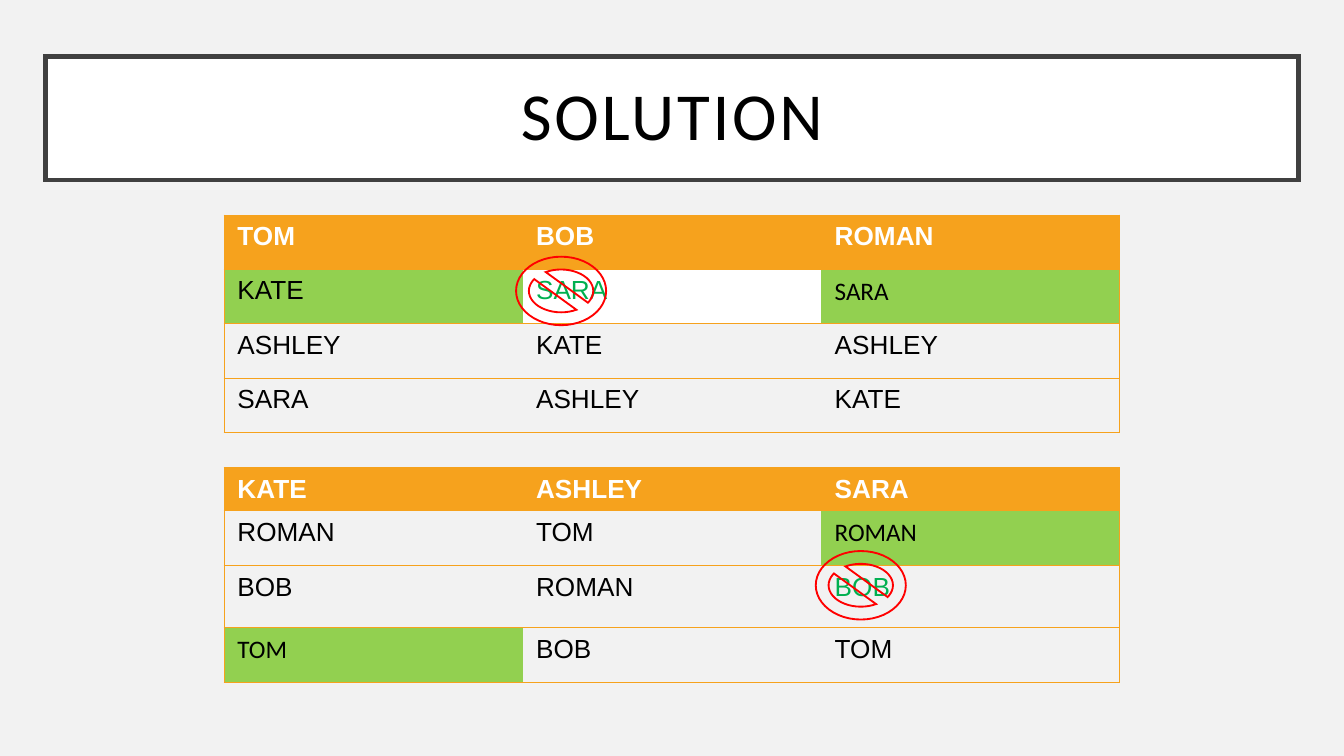
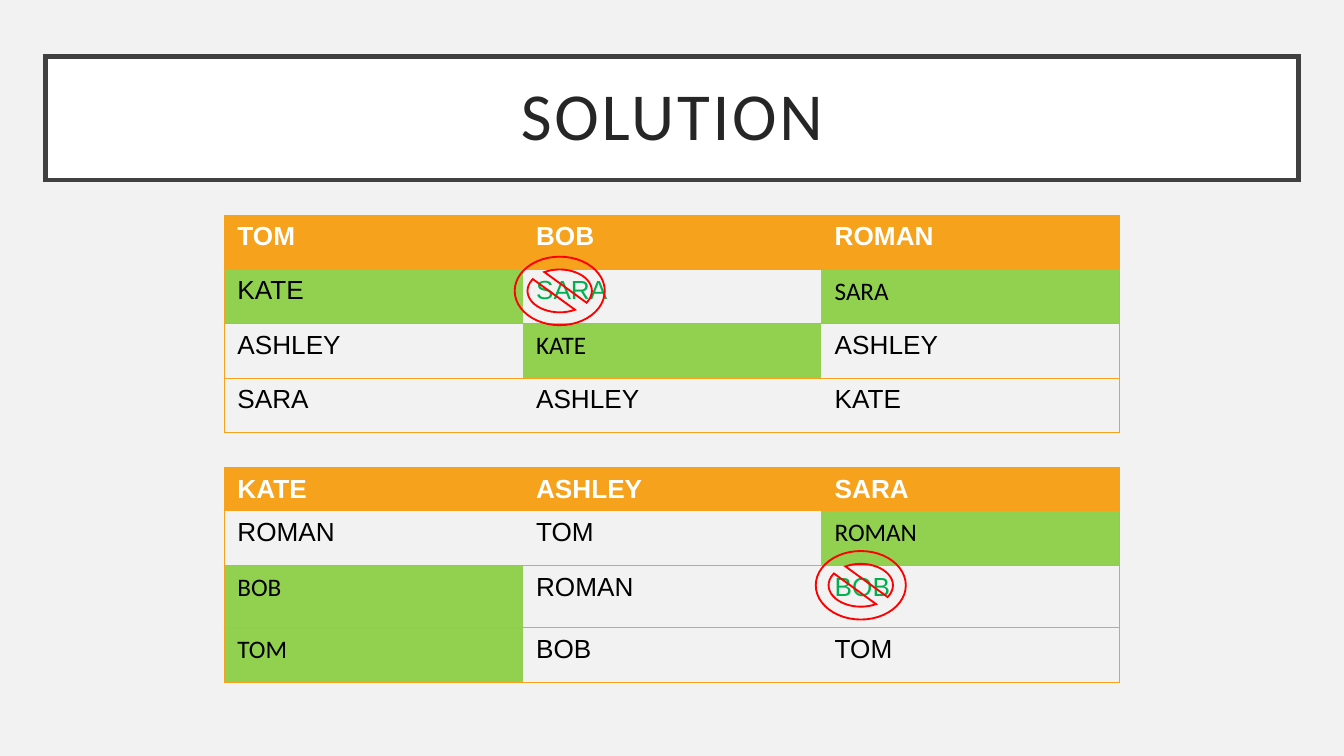
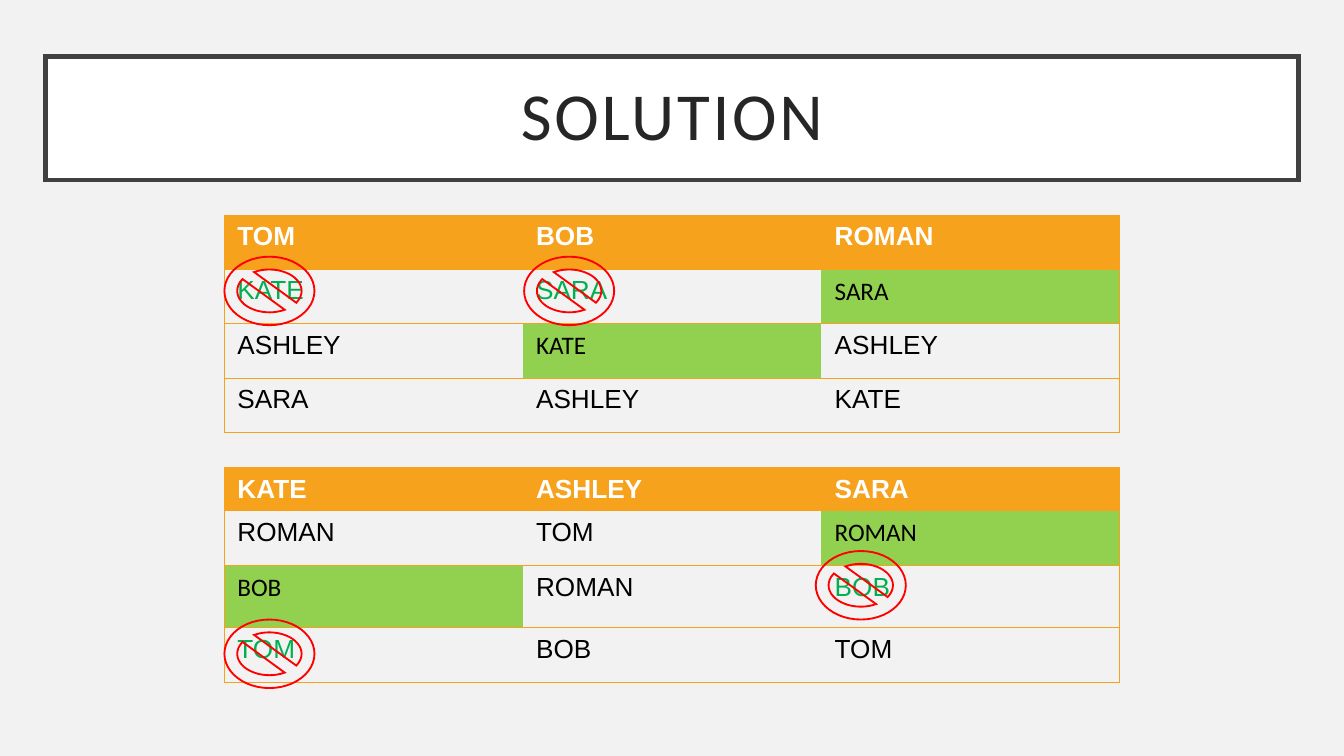
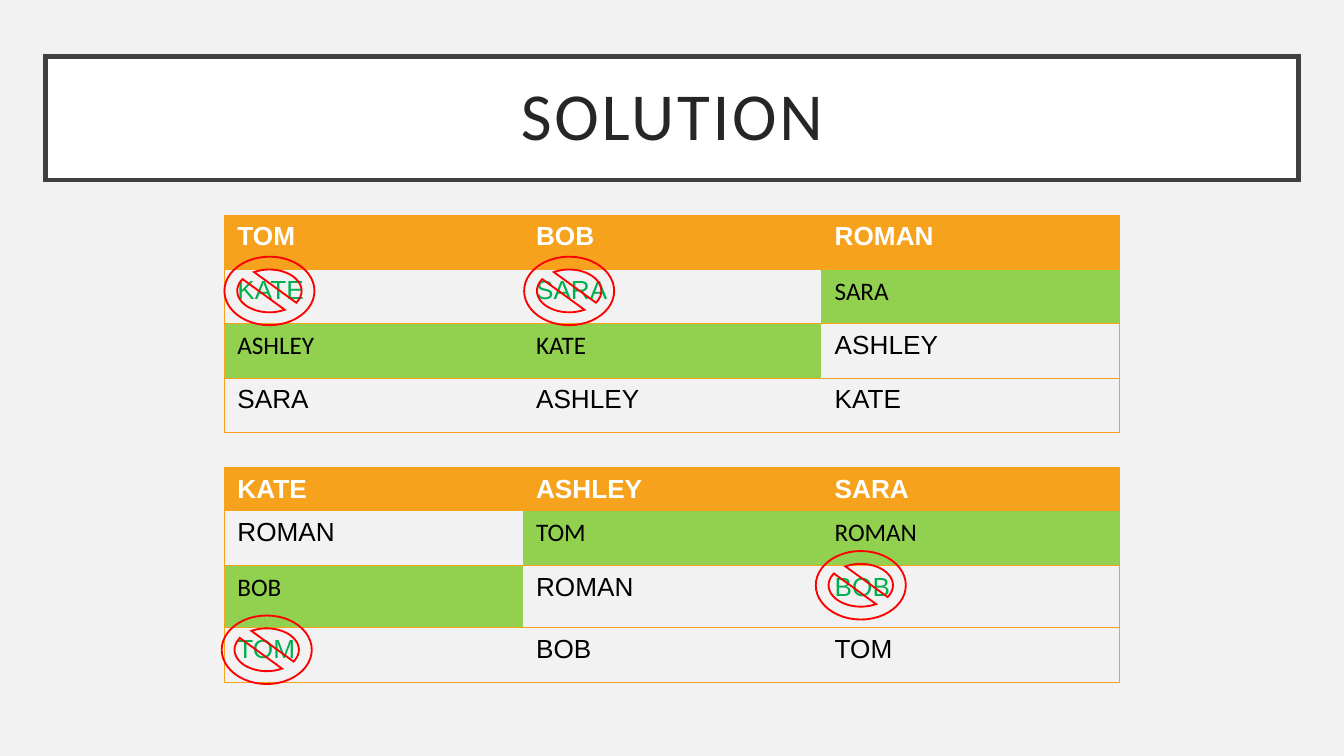
"""Build four slides that step through a stable matching of two groups."""
from lxml.etree import SubElement
from pptx import Presentation
from pptx.dml.color import RGBColor as Rgb
from pptx.enum.shapes import MSO_SHAPE as Shape
from pptx.enum.text import MSO_ANCHOR as Anchor, PP_ALIGN as Align
from pptx.oxml.ns import qn
from pptx.util import Inches, Pt

COLORS = {"back": "F2F2F2", "white": "FFFFFF", "frame": "404040", "black": "000000",
          "title": "262626", "head": "F6A21D", "pair": "92D050", "lost": "00B050",
          "ban": "FF0000"}

TITLE = "SOLUTION"
TABLES = [
    {"top": 1.6, "heights": [1.62 / 4] * 4,
     "prefs": {"TOM": ["KATE", "ASHLEY", "SARA"],
               "BOB": ["SARA", "KATE", "ASHLEY"],
               "ROMAN": ["SARA", "ASHLEY", "KATE"]}},
    {"top": 3.48, "heights": [0.32, 0.41, 0.46, 0.41],
     "prefs": {"KATE": ["ROMAN", "BOB", "TOM"],
               "ASHLEY": ["TOM", "ROMAN", "BOB"],
               "SARA": ["ROMAN", "BOB", "TOM"]}},
]
STEPS = [
    {"ink": "black", "fills": {("BOB", "SARA"): "white"},
     "pairs": [("TOM", "KATE"), ("ROMAN", "SARA")],
     "lost": [("BOB", "SARA")],
     "bans": [(6.07, 4.1), (3.84, 1.91)]},
    {"pairs": [("TOM", "KATE"), ("BOB", "KATE"), ("ROMAN", "SARA")],
     "lost": [("BOB", "SARA")],
     "bans": [(3.83, 1.91), (6.07, 4.1)]},
    {"pairs": [("BOB", "KATE"), ("ROMAN", "SARA")],
     "lost": [("BOB", "SARA"), ("TOM", "KATE")],
     "bans": [(3.9, 1.91), (1.67, 1.91), (6.07, 4.1), (1.67, 4.61)]},
    {"pairs": [("TOM", "ASHLEY"), ("BOB", "KATE"), ("ROMAN", "SARA")],
     "lost": [("BOB", "SARA"), ("TOM", "KATE")],
     "bans": [(3.9, 1.91), (1.67, 1.91), (1.65, 4.58), (6.07, 4.1)]},
]
LARGE = ("TOM", "KATE")
WIDE, HIGH = 10, 10 * 9 / 16
LEFT, WIDTH = WIDE / 6, WIDE * 2 / 3


def color(name):
    return Rgb.from_string(COLORS[name])


def paint(fill, name):
    if name:
        fill.solid()
        fill.fore_color.rgb = color(name)
    else:
        fill.background()


def write(frame, text, size=14, font="Arial", ink="black", bold=False, align=None, space=None):
    para = frame.paragraphs[0]
    para.alignment = align
    run = para.add_run()
    run.text = text
    run.font.size, run.font.name, run.font.bold = Pt(size), font, bold
    run.font.color.rgb = color(ink)
    if space:
        para.line_spacing = 0.9
        run.font._element.set("spc", str(space))


def draw(slide, kind, box, fill, line, width):
    shape = slide.shapes.add_shape(kind, *map(Inches, box))
    shape.shadow.inherit = False
    paint(shape.fill, fill)
    shape.line.color.rgb = color(line)
    shape.line.width = Pt(width)
    SubElement(shape.line._get_or_add_ln(), qn("a:miter"), lim="800000")
    return shape


def edge(cell, sides):
    props = cell._tc.get_or_add_tcPr()
    for side in "LRTB":
        line = SubElement(props, qn(f"a:ln{side}"), w=str(Pt(0.5)))
        if side in sides:
            solid = SubElement(line, qn("a:solidFill"))
            SubElement(solid, qn("a:srgbClr"), val=COLORS["head"])
        else:
            SubElement(line, qn("a:noFill"))


def look(pair, step):
    """Return the fill and text format of a choice."""
    both = {pair, pair[::-1]}
    if both & set(step["pairs"]):
        return "pair", {} if pair == LARGE else {"size": 13.5, "font": "Calibri"}
    fill = step.get("fills", {}).get(pair)
    return fill, {"ink": "lost"} if both & set(step["lost"]) else {}


def add_prefs(slide, step, top, heights, prefs):
    size = len(heights), len(prefs)
    box = map(Inches, (LEFT, top, WIDTH, sum(heights)))
    table = slide.shapes.add_table(*size, *box).table
    table.first_row = table.horz_banding = False
    for row, height in zip(table.rows, heights):
        row.height = Inches(height)
    for c, (name, picks) in enumerate(prefs.items()):
        table.columns[c].width = Inches(WIDTH / len(prefs))
        for r, text in enumerate([name] + picks):
            cell = table.cell(r, c)
            edge(cell, "TB" + "L" * (c == 0) + "R" * (c == len(prefs) - 1))
            fill, style = look((name, text), step) if r else ("head", {"ink": "white", "bold": True})
            paint(cell.fill, fill)
            write(cell.text_frame, text, **style)


def main():
    deck = Presentation()
    deck.slide_width, deck.slide_height = Inches(WIDE), Inches(HIGH)
    for step in STEPS:
        slide = deck.slides.add_slide(deck.slide_layouts[6])
        paint(slide.background.fill, "back")
        title = draw(slide, Shape.RECTANGLE, (0.34, 0.42, 9.32, 0.92), "white", "frame", 2.5)
        frame = title.text_frame
        frame.word_wrap, frame.vertical_anchor = True, Anchor.MIDDLE
        frame.margin_top = frame.margin_bottom = Inches(0.1)
        write(frame, TITLE, size=36, font="Calibri", ink=step.get("ink", "title"),
              align=Align.CENTER, space=150)
        for table in TABLES:
            add_prefs(slide, step, **table)
        for spot in step["bans"]:
            draw(slide, Shape.NO_SYMBOL, (*spot, 0.67, 0.51), None, "ban", 1)
    deck.save("out.pptx")


if __name__ == "__main__":
    main()
